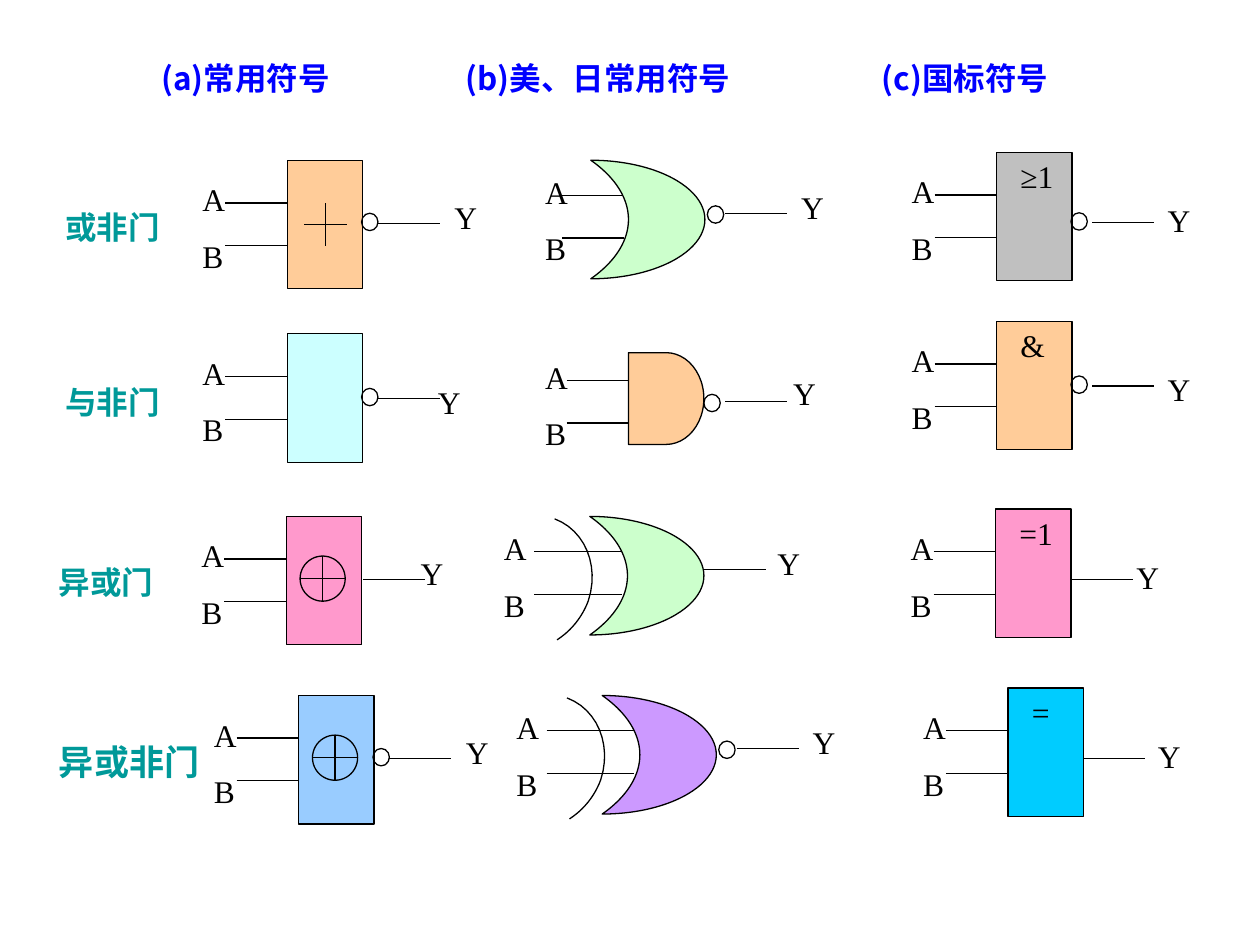
from lxml import etree
from pptx import Presentation
from pptx.dml.color import RGBColor
from pptx.enum.shapes import MSO_CONNECTOR, MSO_SHAPE
from pptx.oxml.ns import qn
from pptx.util import Cm, Pt

RECT, MOON, DELAY = MSO_SHAPE.RECTANGLE, MSO_SHAPE.MOON, MSO_SHAPE.FLOWCHART_DELAY
OVAL, OR_MARK = MSO_SHAPE.OVAL, MSO_SHAPE.FLOWCHART_OR
STRAIGHT = MSO_CONNECTOR.STRAIGHT

COLORS = {
    "black": "000000", "blue": "0000FF", "teal": "009999", "orange": "FFCC99",
    "aqua": "CCFFFF", "pink": "FF99CC", "sky": "99CCFF", "green": "CCFFCC",
    "violet": "CC99FF", "gray": "C0C0C0", "cyan": "00CCFF",
}
SERIF, SANS = "Times New Roman", "Noto Sans CJK SC"
PIN = {"name": SERIF, "size": Pt(18), "color": "black"}
HEADING = {"name": SANS, "size": Pt(18), "bold": True, "color": "blue"}
ROW_LABEL = {"name": SERIF, "size": Pt(18), "bold": True, "color": "teal"}

# Lengths are in cm, relative to the left top corner of the gate body;
# "bubble" is relative to the right end of the body and the output line.
BODIES = {
    "box": {"shape": RECT, "size": (1.52, 2.59), "inputs": (-1.25, 0, 0.86),
            "label_x": -1.96, "bubble": (-0.02, -0.2)},
    "or": {"shape": MOON, "size": (2.3, 2.39), "inputs": (-0.58, 0.66, 0.71),
           "label_x": -1.17, "bubble": (0.05, -0.15)},
    "xor": {"shape": MOON, "size": (2.3, 2.39), "inputs": (-1.12, 0.64, 0.71),
            "label_x": -1.98, "bubble": (0.05, -0.15)},
    "and": {"shape": DELAY, "size": (1.52, 1.85), "inputs": (-1.25, 0, 0.56),
            "label_x": -1.93, "bubble": (0, -0.15)},
}
PIN_GAP, LABEL_GAP, LABEL_RISE, OUT_LEN = 0.86, 1.14, 0.58, 1.25
XOR_CURVE = [(-0.71, 0.05), (-0.1, 0.28), (0.2, 0.99), (-0.03, 1.7),
             (-0.15, 2.03), (-0.38, 2.31), (-0.66, 2.49)]

HEADINGS = [("(a)常用符号", 3, 5.36), ("(b)美、日常用符号", 9.14, 7.98),
            ("(c)国标符号", 17.53, 5.36)]
ROW_LABELS = [("或非门", 1.07, 4.06, 18), ("与非门", 1.07, 7.59, 18),
              ("异或门", 0.94, 11.23, 18), ("异或非门", 0.94, 14.81, 20)]
# body, left, top, fill, output (gap, y), Y label, bubble, mark
GATES = [
    ("box", 5.79, 3.23, "orange", (0.3, 1.27), (3.12, 0.64), True, "plus"),
    ("or", 11.91, 3.23, "green", (0.41, 1.07), (3.99, 0.43), True, None),
    ("box", 20.09, 3.07, "gray", (0.41, 1.42), (3.2, 0.86), True, "≥1"),
    ("box", 5.79, 6.73, "aqua", (0.3, 1.3), (2.79, 0.86), True, None),
    ("and", 12.67, 7.11, "orange", (0.43, 0.99), (3.07, 0.3), True, None),
    ("box", 20.09, 6.48, "orange", (0.41, 1.3), (3.2, 0.86), True, "&"),
    ("box", 5.77, 10.41, "pink", (0.03, 1.27), (2.46, 0.64), False, "oplus"),
    ("xor", 11.89, 10.41, "green", (0, 1.07), (3.53, 0.43), False, None),
    ("box", 20.07, 10.26, "pink", (0, 1.42), (2.59, 0.86), False, "=1"),
    ("box", 6.02, 14.02, "sky", (0.3, 1.27), (3.12, 0.64), True, "oplus"),
    ("xor", 12.14, 14.02, "violet", (0.41, 1.07), (3.99, 0.43), True, None),
    ("box", 20.32, 13.87, "cyan", (0, 1.42), (2.77, 0.86), False, "="),
]


def rgb(name):
    return RGBColor.from_string(COLORS[name])


def add_text(s, text, x, y, w, style):
    tf = s.shapes.add_textbox(Cm(x), Cm(y), Cm(w), Cm(1.27)).text_frame
    tf.word_wrap = True
    r = tf.paragraphs[0].add_run()
    r.text = text
    for key, value in style.items():
        if key == "color":
            r.font.color.rgb = rgb(value)
        else:
            setattr(r.font, key, value)


def outline(sp, fill=None):
    sp.shadow.inherit = False
    if fill:
        sp.fill.solid()
        sp.fill.fore_color.rgb = rgb(fill)
    else:
        sp.fill.background()
    sp.line.color.rgb = rgb("black")
    sp.line.width = Pt(0.75)


def add_outlined(s, shape, x, y, w, h, fill=None):
    sp = s.shapes.add_shape(shape, Cm(x), Cm(y), Cm(w), Cm(h))
    outline(sp, fill)
    return sp


def add_wire(s, x1, y1, x2, y2):
    wire = s.shapes.add_connector(STRAIGHT, Cm(x1), Cm(y1), Cm(x2), Cm(y2))
    wire.line.color.rgb = rgb("black")
    wire.line.width = Pt(0.75)
    etree.SubElement(wire._element.spPr, qn("a:effectLst"))


def bezier(p0, p1, p2, p3, steps=12):
    """Points along a cubic curve, without its start."""
    for i in range(1, steps + 1):
        t = i / steps
        u = 1 - t
        yield tuple(u**3 * a + 3 * u * u * t * b + 3 * u * t * t * c + t**3 * d
                    for a, b, c, d in zip(p0, p1, p2, p3))


def add_xor_curve(s, x, y):
    points = [*bezier(*XOR_CURVE[:4]), *bezier(*XOR_CURVE[3:])]
    start, *rest = [(Cm(x + dx), Cm(y + dy)) for dx, dy in XOR_CURVE[:1] + points]
    builder = s.shapes.build_freeform(*start)
    builder.add_line_segments(rest, close=False)
    outline(builder.convert_to_shape())


def add_mark(s, mark, x, y):
    if mark == "plus":
        cx, cy, half = x + 0.77, y + 1.3, 0.43
        add_wire(s, cx - half, cy, cx + half, cy)
        add_wire(s, cx, cy - half, cx, cy + half)
    elif mark == "oplus":
        add_outlined(s, OR_MARK, x + 0.28, y + 0.8, 0.91, 0.91)
    elif mark:
        add_text(s, mark, x + 0.23, y - 0.03, 1.57, PIN)


def add_gate(s, kind, x, y, fill, output, y_label, bubble, mark):
    body = BODIES[kind]
    w, h = body["size"]
    x1, x2, first = body["inputs"]
    for i, name in enumerate("AB"):
        pin_y = y + first + i * PIN_GAP
        add_wire(s, x + x1, pin_y, x + x2, pin_y)
        add_text(s, name, x + body["label_x"],
                 y + first - LABEL_RISE + i * LABEL_GAP, 1.18, PIN)
    sp = add_outlined(s, body["shape"], x, y, w, h, fill)
    if body["shape"] == MOON:
        sp.rotation = 180
        sp.adjustments[0] = 0.67
    if kind == "xor":
        add_xor_curve(s, x, y)
    add_mark(s, mark, x, y)

    gap, dy = output
    right, out_y = x + w, y + dy
    add_wire(s, right + gap, out_y, right + gap + OUT_LEN, out_y)
    add_text(s, "Y", x + y_label[0], y + y_label[1], 1.04, PIN)
    if bubble:
        bx, by = body["bubble"]
        add_outlined(s, OVAL, right + bx, out_y + by, 0.33, 0.35)


def main():
    prs = Presentation()
    prs.slide_width, prs.slide_height = Cm(25.4), Cm(19.05)
    s = prs.slides.add_slide(prs.slide_layouts[6])
    for text, x, w in HEADINGS:
        add_text(s, text, x, 1.07, w, HEADING)
    for text, x, y, size in ROW_LABELS:
        add_text(s, text, x, y, 4.2, {**ROW_LABEL, "size": Pt(size)})
    for gate in GATES:
        add_gate(s, *gate)
    prs.save("out.pptx")


if __name__ == "__main__":
    main()
